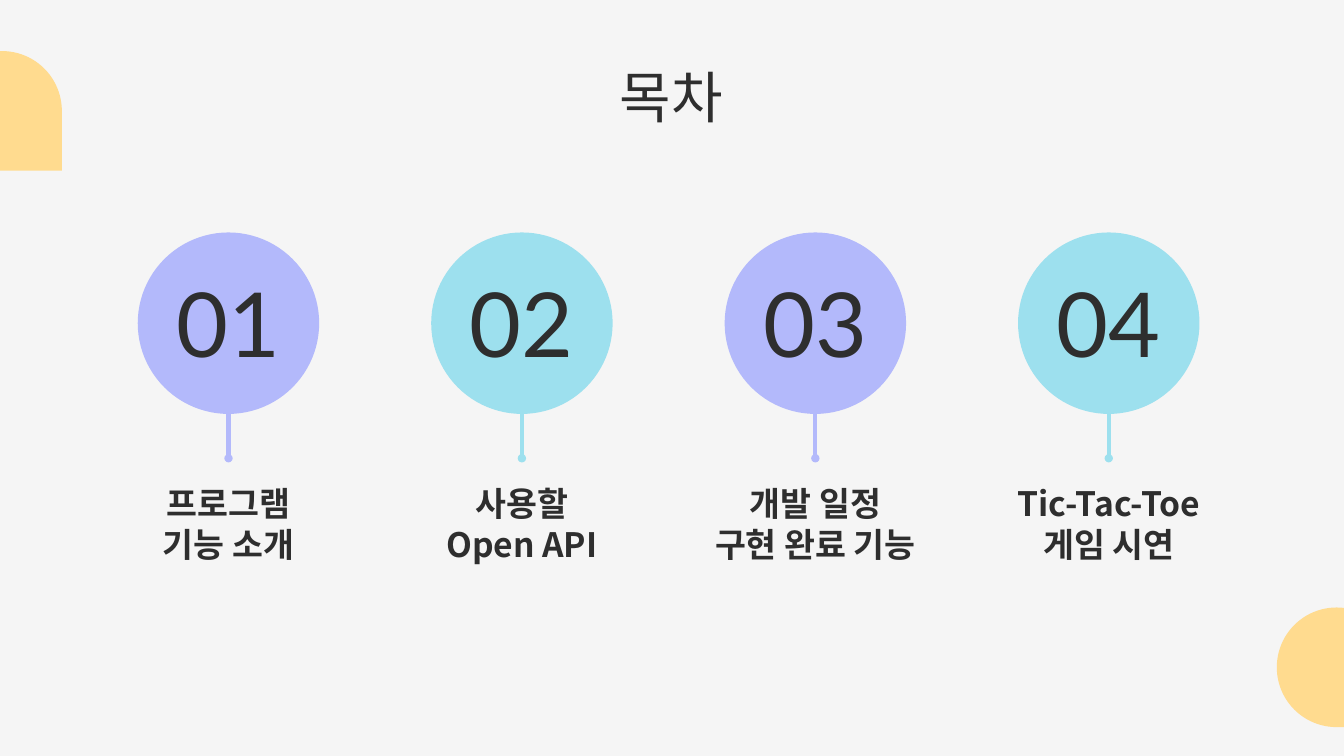
import dataclasses

import lxml.etree
import pptx
import pptx.dml.color
import pptx.enum.shapes
import pptx.enum.text
import pptx.oxml.ns
import pptx.util

Inches = pptx.util.Inches
Shapes = pptx.enum.shapes.MSO_SHAPE
Anchor = pptx.enum.text.MSO_ANCHOR


@dataclasses.dataclass(frozen=True)
class Theme:
    background: str = "F5F5F5"
    ink: str = "2E2E2E"
    corner: str = "FFDB8F"
    accents: tuple = ("B3B9FB", "9DE0EE")
    korean_font: str = "Noto Sans CJK KR"
    number_font: str = "Lato"
    title_size: int = 30
    number_size: int = 48
    label_size: int = 18
    korean_leading: float = 1.22
    line_width: float = 2.25


THEME = Theme()
SLIDE_WIDTH = 10
SLIDE_HEIGHT = SLIDE_WIDTH * 9 / 16
FIRST_CENTER, LAST_CENTER = 1.7, 8.25
CIRCLE_TOP, CIRCLE_SIZE = 1.73, 1.35
STEM_TOP, STEM_BOTTOM = 2.72, 3.41
NUMBER_TOP, LABEL_TOP, TEXT_HEIGHT = 2.08, 3.49, 0.63
CORNER_SIZE = 0.89
CORNERS = ((-0.43, 0.38), (9.5, 4.52))
TITLE = "목차"
TOPICS = (
    ("프로그램", "기능 소개"),
    ("사용할", "Open API"),
    ("개발 일정", "구현 완료 기능"),
    ("Tic-Tac-Toe", "게임 시연"),
)
COLUMN_WIDTH = (LAST_CENTER - FIRST_CENTER) / (len(TOPICS) - 1)


def color(value):
    return pptx.dml.color.RGBColor.from_string(value)


def add_filled_shape(slide, kind, left, top, size, fill):
    shape = slide.shapes.add_shape(
        kind, Inches(left), Inches(top), Inches(size), Inches(size)
    )
    shape.shadow.inherit = False
    shape.fill.solid()
    shape.fill.fore_color.rgb = color(fill)
    shape.line.fill.background()
    return shape


def add_corner(slide, left, top):
    shape = add_filled_shape(slide, Shapes.TEAR, left, top, CORNER_SIZE, THEME.corner)
    shape.adjustments[0] = 1
    shape.rotation = 90


def add_stem(slide, center, accent):
    connector = slide.shapes.add_connector(
        pptx.enum.shapes.MSO_CONNECTOR.STRAIGHT,
        Inches(center), Inches(STEM_TOP), Inches(center), Inches(STEM_BOTTOM),
    )
    connector.line.color.rgb = color(accent)
    connector.line.width = pptx.util.Pt(THEME.line_width)
    qualified = pptx.oxml.ns.qn
    properties = connector._element.spPr
    outline = properties.find(qualified("a:ln"))
    lxml.etree.SubElement(outline, qualified("a:tailEnd"), type="oval", w="sm", len="sm")
    lxml.etree.SubElement(properties, qualified("a:effectLst"))


def write_text(shape, lines, size, font_name, anchor, spacing, bold=False):
    frame = shape.text_frame
    frame.word_wrap = True
    frame.auto_size = pptx.enum.text.MSO_AUTO_SIZE.NONE
    frame.vertical_anchor = anchor
    frame.margin_left = frame.margin_right = Inches(0.1)
    frame.margin_top = frame.margin_bottom = Inches(0.1)
    paragraph = frame.paragraphs[0]
    paragraph.alignment = pptx.enum.text.PP_ALIGN.CENTER
    paragraph.line_spacing = spacing
    for index, line in enumerate(lines):
        if index:
            paragraph.add_line_break()
        run = paragraph.add_run()
        run.text = line
        run.font.size = pptx.util.Pt(size)
        run.font.bold = bold
        run.font.name = font_name
        run.font.color.rgb = color(THEME.ink)
        lxml.etree.SubElement(
            run.font._element, pptx.oxml.ns.qn("a:ea"), typeface=font_name
        )


def write_korean(shape, lines, size, bold=False):
    spacing = pptx.util.Pt(round(size * THEME.korean_leading))
    write_text(shape, lines, size, THEME.korean_font, Anchor.TOP, spacing, bold)


def add_column_text_box(slide, center, top):
    return slide.shapes.add_textbox(
        Inches(center - COLUMN_WIDTH / 2), Inches(top),
        Inches(COLUMN_WIDTH), Inches(TEXT_HEIGHT),
    )


def add_title(slide):
    title = slide.shapes.title
    title.left, title.top = Inches(1.49), Inches(0.35)
    title.width, title.height = Inches(7.01), Inches(0.69)
    write_korean(title, (TITLE,), THEME.title_size)


def add_topic(slide, index, lines):
    center = FIRST_CENTER + index * COLUMN_WIDTH
    accent = THEME.accents[index % len(THEME.accents)]
    add_stem(slide, center, accent)
    add_filled_shape(
        slide, Shapes.OVAL, center - CIRCLE_SIZE / 2, CIRCLE_TOP, CIRCLE_SIZE, accent
    )
    number = add_column_text_box(slide, center, NUMBER_TOP)
    write_text(
        number, (f"{index + 1:02}",), THEME.number_size, THEME.number_font,
        Anchor.MIDDLE, 1.0,
    )
    label = add_column_text_box(slide, center, LABEL_TOP)
    write_korean(label, lines, THEME.label_size, bold=True)


def main():
    presentation = pptx.Presentation()
    presentation.slide_width = Inches(SLIDE_WIDTH)
    presentation.slide_height = Inches(SLIDE_HEIGHT)
    slide = presentation.slides.add_slide(presentation.slide_layouts[5])
    slide.background.fill.solid()
    slide.background.fill.fore_color.rgb = color(THEME.background)
    for left, top in CORNERS:
        add_corner(slide, left, top)
    add_title(slide)
    for index, lines in enumerate(TOPICS):
        add_topic(slide, index, lines)
    presentation.save("out.pptx")


if __name__ == "__main__":
    main()
